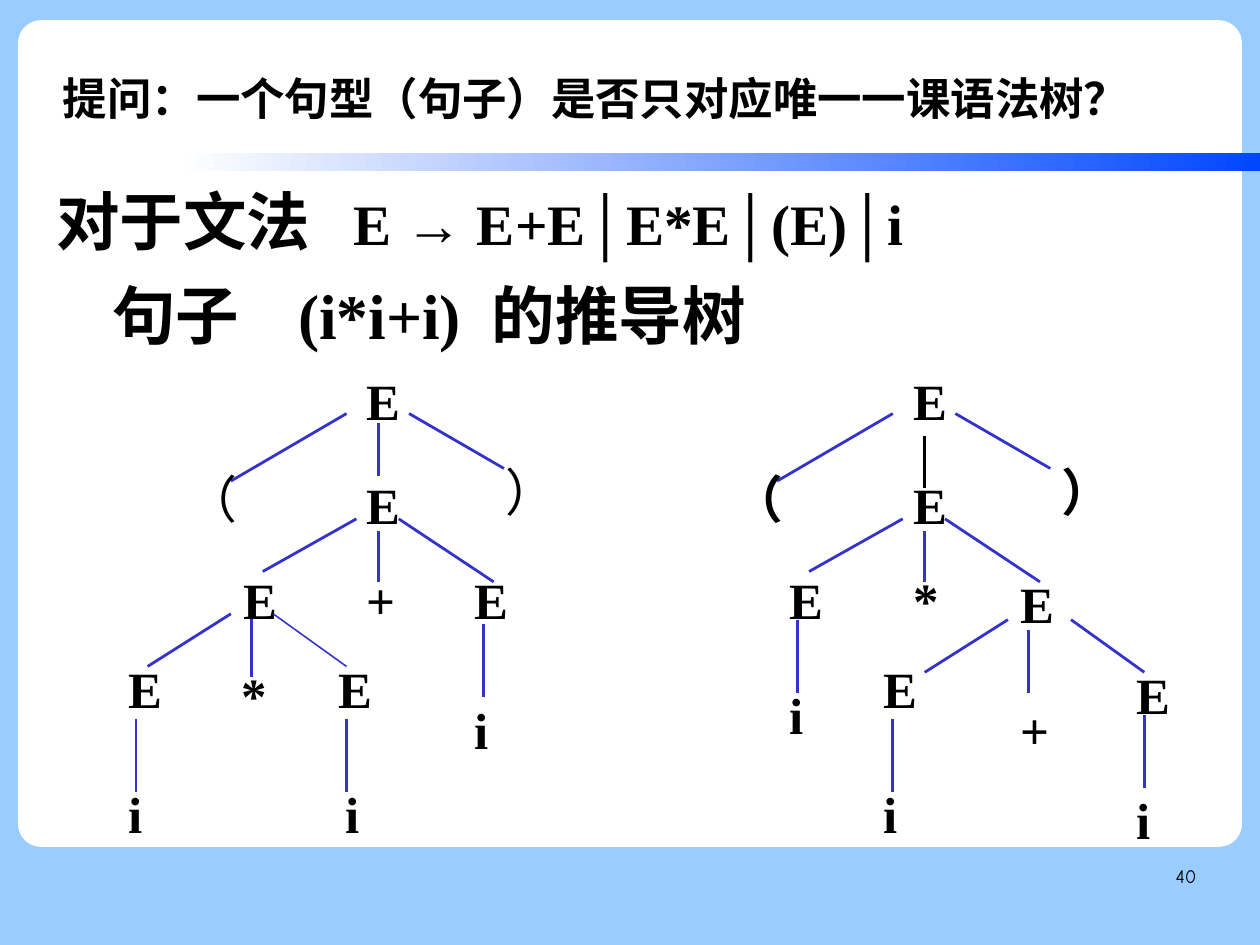
from lxml import etree
from pptx import Presentation
from pptx.dml.color import RGBColor
from pptx.enum import shapes, text
from pptx.oxml import ns
from pptx.util import Cm, Pt

COLOURS = {"sky": "99CCFF", "white": "FFFFFF", "band": "0047FF",
           "edge": "3333CC", "black": "000000"}
SANS, SERIF, NUMBER = "Arial", "Times New Roman", "Comic Neue"
SYMBOL_WIDTHS = {"E": 1.32, "i": 0.89, "+": 1.22, "*": 1.14, "（": 1.7, "）": 1.7}
TREE_GAP = 12.14

# Nodes are (symbol, left, top); edges are (x1, y1, x2, y2), all in cm
SHARED_NODES = [("E", 7.87, 8.18), ("（", 3.86, 10.36), ("E", 7.87, 10.49),
                ("E", 5.13, 12.62)]
SHARED_EDGES = [(7.7, 9.19, 5.13, 10.69), (9.09, 9.19, 11.2, 10.41),
                (7.92, 11.53, 5.84, 12.7), (8.86, 11.53, 10.97, 12.93),
                (8.41, 11.79, 8.41, 12.93)]
LEFT_NODES = [("）", 10.95, 10.21), ("E", 10.26, 12.62), ("+", 7.87, 12.6),
              ("E", 2.57, 14.58), ("E", 7.24, 14.58), ("*", 5.08, 14.71),
              ("i", 2.57, 17.37), ("i", 7.39, 17.37), ("i", 10.26, 15.49)]
LEFT_EDGES = [(8.41, 9.4, 8.41, 10.57), (5.13, 13.64, 3.28, 14.81),
              (5.59, 13.64, 5.59, 15.04), (7.7, 15.98, 7.7, 17.6),
              (10.74, 13.87, 10.74, 15.49)]
LEFT_THIN_EDGES = [(6.07, 13.64, 7.7, 14.81), (3.02, 15.98, 3.02, 17.6)]
RIGHT_NODES = [("）", 23.32, 10.21), ("E", 22.4, 12.7), ("*", 20.02, 12.6),
               ("E", 24.97, 14.71), ("E", 19.35, 14.58), ("i", 17.27, 15.16),
               ("i", 24.97, 17.5), ("i", 19.35, 17.37), ("+", 22.4, 15.49)]
RIGHT_EDGES = [(22.4, 13.77, 20.55, 14.94), (23.8, 13.77, 25.43, 14.94),
               (22.86, 14, 22.86, 15.39), (25.43, 15.88, 25.43, 17.5),
               (19.84, 15.98, 19.84, 17.6), (17.73, 13.77, 17.73, 15.39)]


def colour(name):
    return RGBColor.from_string(COLOURS[name])


class SlideBuilder:
    def __init__(self, deck):
        self.page = deck.slides.add_slide(deck.slide_layouts[6])
        fill = self.page.background.fill
        fill.solid()
        fill.fore_color.rgb = colour("sky")

    def panel(self, kind, left, top, width, height):
        shape = self.page.shapes.add_shape(
            kind, Cm(left), Cm(top), Cm(width), Cm(height))
        shape.shadow.inherit = False
        shape.line.fill.background()
        shape.fill.solid()
        shape.fill.fore_color.rgb = colour("white")
        return shape

    def text_box(self, left, top, width, height, margins=(0, 0), wrap=True):
        box = self.page.shapes.add_textbox(
            Cm(left), Cm(top), Cm(width), Cm(height))
        frame = box.text_frame
        frame.word_wrap = wrap
        frame.margin_left = frame.margin_right = Cm(margins[0])
        frame.margin_top = frame.margin_bottom = Cm(margins[1])
        return frame

    def add_spans(self, para, spans, spacing, bold=True):
        para.line_spacing = spacing
        for content, size, font in spans:
            span = para.add_run()
            span.text = content
            span.font.size = Pt(size)
            span.font.name = font
            span.font.bold = bold
            span.font.color.rgb = colour("black")

    def tabs(self, para, stops):
        tab_list = etree.SubElement(para._p.get_or_add_pPr(), ns.qn("a:tabLst"))
        for stop in stops:
            etree.SubElement(tab_list, ns.qn("a:tab"), pos=str(Cm(stop)), algn="l")

    def node(self, symbol, left, top, bold=True):
        frame = self.text_box(left, top, SYMBOL_WIDTHS[symbol], 1.55,
                              (0.28, 0.15), wrap=False)
        frame.auto_size = text.MSO_AUTO_SIZE.SHAPE_TO_FIT_TEXT
        self.add_spans(frame.paragraphs[0], [(symbol, 32, SERIF)], 0.93, bold)

    def edge(self, x1, y1, x2, y2, width=1.75, line_colour="edge"):
        line = self.page.shapes.add_connector(
            shapes.MSO_CONNECTOR.STRAIGHT, Cm(x1), Cm(y1), Cm(x2), Cm(y2))
        line.line.width = Pt(width)
        line.line.color.rgb = colour(line_colour)
        etree.SubElement(line._element.spPr, ns.qn("a:effectLst"))

    def tree(self, nodes, edges, shift, bold_brackets):
        for x1, y1, x2, y2 in SHARED_EDGES:
            self.edge(x1 + shift, y1, x2 + shift, y2)
        for ends in edges:
            self.edge(*ends)
        shared = [(symbol, left + shift, top) for symbol, left, top in SHARED_NODES]
        for symbol, left, top in shared + nodes:
            self.node(symbol, left, top, bold_brackets or symbol not in "（）")


def main():
    deck = Presentation()
    deck.slide_width, deck.slide_height = Cm(28), Cm(21)
    slide = SlideBuilder(deck)

    # White card and gradient band
    card = slide.panel(shapes.MSO_SHAPE.ROUNDED_RECTANGLE, 0.4, 0.45, 27.2, 18.37)
    card.adjustments[0] = 0.028
    band = slide.panel(shapes.MSO_SHAPE.RECTANGLE, 4, 3.4, 24, 0.4)
    band.fill.gradient()
    band.fill.gradient_angle = 0
    for stop, name, position in zip(band.fill.gradient_stops, ("white", "band"), (0, 1)):
        stop.color.rgb = colour(name)
        stop.position = position

    # Title
    title = slide.text_box(1.4, 0.84, 24.36, 2.56)
    title.vertical_anchor = text.MSO_ANCHOR.MIDDLE
    slide.add_spans(title.paragraphs[0],
                    [("提问：一个句型（句子）是否只对应唯一一课语法树？", 28, SANS)], 1.1)

    # Grammar and sentence
    body = slide.text_box(1.25, 4.11, 25.2, 4, (0, 0.05))
    grammar, sentence = body.paragraphs[0], body.add_paragraph()
    slide.tabs(grammar, [6.6])
    slide.add_spans(grammar, [("对于文法\t", 40, SANS),
                              ("E → E+E│E*E│(E)│i", 36, SERIF)], 0.95)
    slide.tabs(sentence, [1.25, 5.38, 9.68])
    slide.add_spans(sentence, [("\t句子\t", 40, SANS), ("(i*i+i)\t", 40, SERIF),
                               ("的推导树", 40, SANS)], 0.95)
    grammar.space_after = sentence.space_after = Pt(14.1)

    # Derivation trees
    slide.tree(LEFT_NODES, LEFT_EDGES, 0, bold_brackets=False)
    for ends in LEFT_THIN_EDGES:
        slide.edge(*ends, width=1)
    slide.tree(RIGHT_NODES, RIGHT_EDGES, TREE_GAP, bold_brackets=True)
    slide.edge(20.55, 9.68, 20.55, 10.85, line_colour="black")

    # Page number
    number = slide.text_box(20.07, 19.13, 6.52, 1.45).paragraphs[0]
    number.alignment = text.PP_ALIGN.RIGHT
    slide.add_spans(number, [("40", 12, NUMBER)], 1.16, bold=False)

    deck.save("out.pptx")


if __name__ == "__main__":
    main()
